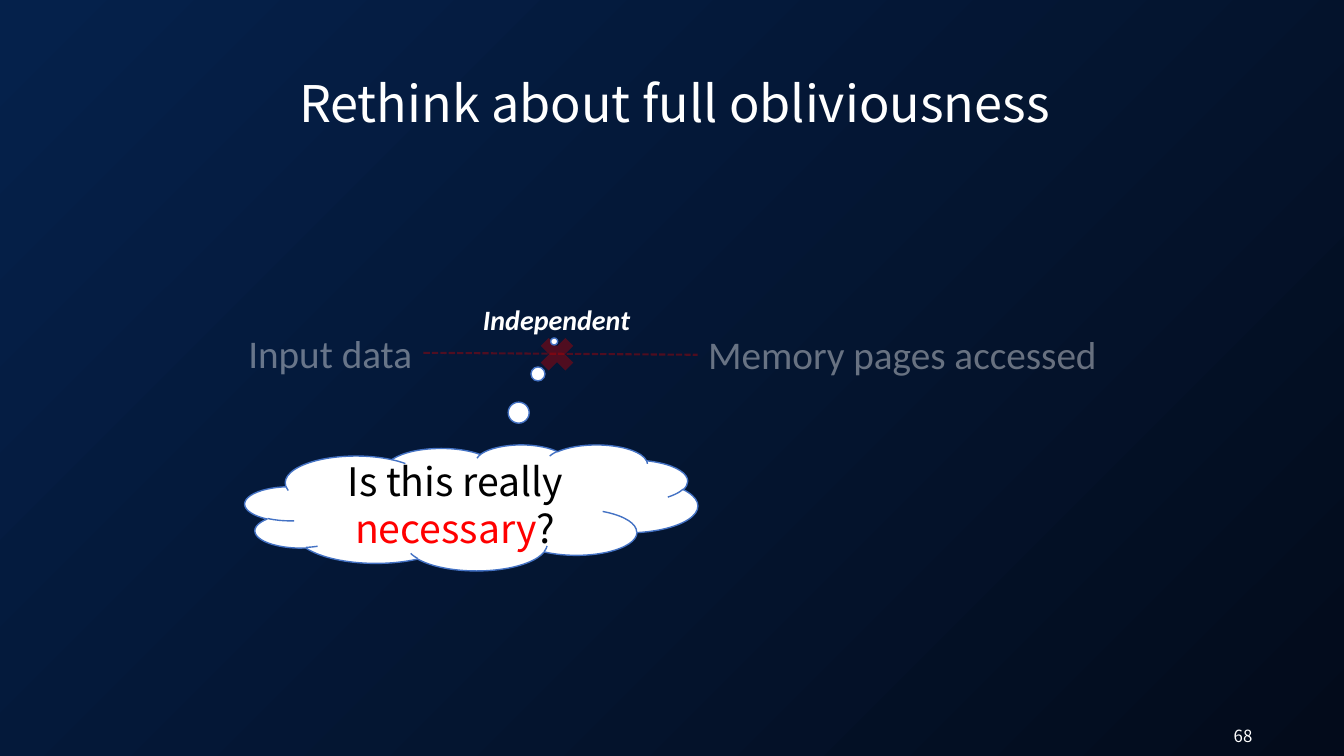
from lxml import etree
from pptx import Presentation
from pptx.dml.color import RGBColor
from pptx.enum.dml import MSO_LINE
from pptx.enum.shapes import MSO_CONNECTOR, MSO_SHAPE
from pptx.enum.text import MSO_ANCHOR, PP_ALIGN
from pptx.oxml.ns import qn
from pptx.util import Inches, Pt

STRAIGHT = MSO_CONNECTOR.STRAIGHT
DASH = MSO_LINE.SQUARE_DOT
RECTANGLE, CROSS, CLOUD = MSO_SHAPE.RECTANGLE, MSO_SHAPE.MATH_MULTIPLY, MSO_SHAPE.CLOUD_CALLOUT
TOP, MIDDLE = MSO_ANCHOR.TOP, MSO_ANCHOR.MIDDLE
CENTER, RIGHT = PP_ALIGN.CENTER, PP_ALIGN.RIGHT

SANS, BODY = "Noto Sans CJK SC", "Calibri"
WHITE, BLACK, RED, DARK_RED, BLUE = "FFFFFF", "000000", "FF0000", "C00000", "4472C4"
FADED = 40


def paint(fill, color, alpha=100):
    """Fill with a solid colour at the given opacity in percent."""
    fill.solid()
    fill.fore_color.rgb = RGBColor.from_string(color)
    if alpha < 100:
        clr = fill._xPr.find(qn("a:solidFill"))[0]
        etree.SubElement(clr, qn("a:alpha")).set("val", str(alpha * 1000))


def write(tf, runs, size, font, align=CENTER, anchor=TOP, alpha=100, emphasis=False):
    """Write one paragraph of (text, colour) runs."""
    tf.word_wrap = True
    tf.vertical_anchor = anchor
    p = tf.paragraphs[0]
    p.alignment = align
    for text, color in runs:
        r = p.add_run()
        r.text = text
        r.font.size = Pt(size)
        r.font.name = font
        r.font.bold = r.font.italic = emphasis
        paint(r.font.fill, color, alpha)


def add_text(s, box, text, size, font, **style):
    """Add a white text box."""
    sp = s.shapes.add_textbox(*map(Inches, box))
    write(sp.text_frame, [(text, WHITE)], size, font, **style)


def add_shape(s, kind, box):
    """Add a preset shape without shadow or outline."""
    sp = s.shapes.add_shape(kind, *map(Inches, box))
    sp.shadow.inherit = False
    sp.line.fill.background()
    return sp


def add_background(s):
    """Cover the slide with a diagonal gradient."""
    fill = add_shape(s, RECTANGLE, (0, 0, 13.33, 7.5)).fill
    fill.gradient()
    fill.gradient_angle = 315
    for stop, position, color in zip(fill.gradient_stops, (0.01, 1), ("05214B", "030B1B")):
        stop.position = position
        stop.color.rgb = RGBColor.from_string(color)


def add_dashed_line(s, start, end):
    """Add a faded dashed line."""
    line = s.shapes.add_connector(STRAIGHT, *map(Inches, start + end))
    line.line.width = Pt(1.5)
    paint(line.line.fill, DARK_RED, FADED)
    line.line.dash_style = DASH
    etree.SubElement(line._element.spPr, qn("a:effectLst"))


def add_thought(s, box, tail, runs):
    """Add a white thought cloud with its tail and text."""
    sp = add_shape(s, CLOUD, box)
    paint(sp.fill, WHITE)
    paint(sp.line.fill, BLUE)
    sp.line.width = Pt(1)
    for i, value in enumerate(tail):
        sp.adjustments[i] = value
    write(sp.text_frame, runs, 28, SANS, anchor=MIDDLE)


def main():
    """Build the slide."""
    prs = Presentation()
    prs.slide_width, prs.slide_height = Inches(13.33), Inches(7.5)
    s = prs.slides.add_slide(prs.slide_layouts[6])
    add_background(s)
    add_text(s, (1.19, 0.66, 11, 0.72), "Rethink about full obliviousness", 36, SANS, anchor=MIDDLE)
    add_text(s, (11.46, 7.15, 1.06, 0.3), "68", 12, SANS, align=RIGHT, anchor=MIDDLE)
    add_text(s, (6.92, 3.23, 4.06, 0.57), "Memory pages accessed", 28, BODY, alpha=FADED)
    add_text(s, (2.35, 3.22, 1.85, 0.57), "Input data", 28, BODY, alpha=FADED)
    add_dashed_line(s, (4.2, 3.5), (6.92, 3.52))
    add_text(s, (4.48, 2.95, 2.08, 0.44), "Independent", 20, BODY, emphasis=True)
    paint(add_shape(s, CROSS, (5.29, 3.28, 0.47, 0.47)).fill, DARK_RED, FADED)
    add_thought(s, (2.43, 4.41, 4.49, 1.25), (0.183, -1.318),
                [("Is this really ", BLACK), ("necessary", RED), ("?", BLACK)])
    prs.save("out.pptx")


if __name__ == "__main__":
    main()
